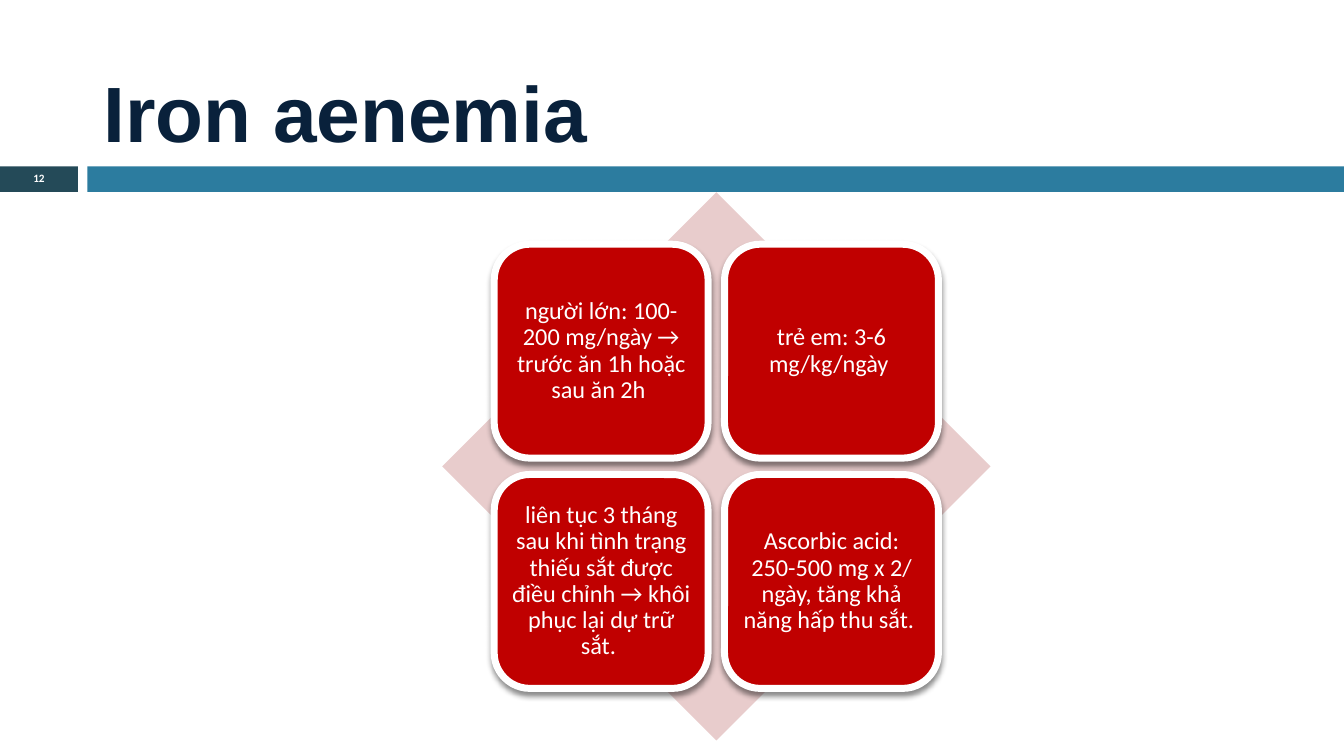
from dataclasses import dataclass

from lxml.etree import SubElement
from pptx import Presentation
from pptx.dml.color import RGBColor
from pptx.enum.shapes import MSO_SHAPE
from pptx.enum.text import MSO_ANCHOR, PP_ALIGN
from pptx.oxml.ns import qn
from pptx.util import Inches, Pt


@dataclass(frozen=True)
class Theme:
    navy: str = "09213B"
    slate: str = "244A58"
    teal: str = "2C7C9F"
    blush: str = "E8CCCC"
    red: str = "C00000"
    white: str = "FFFFFF"
    title_font: str = "Arial"
    body_font: str = "Calibri"
    title_size: int = 42
    card_size: int = 13
    number_size: int = 6


T = Theme()


def add_shape(s, kind, left, top, width, height, fill):
    """Add a borderless, shadowless filled shape; lengths in inches."""
    sp = s.shapes.add_shape(kind, *map(Inches, (left, top, width, height)))
    sp.shadow.inherit = False
    sp.fill.solid()
    sp.fill.fore_color.rgb = RGBColor.from_string(fill)
    sp.line.fill.background()
    return sp


def write(sp, text, font, size, color, bold=False, align=PP_ALIGN.CENTER,
          anchor=MSO_ANCHOR.MIDDLE, inset=0.05, spacing=0.9):
    tf = sp.text_frame
    tf.word_wrap = True
    tf.vertical_anchor = anchor
    tf.margin_left = tf.margin_right = Inches(inset)
    tf.margin_top = tf.margin_bottom = Inches(0.05)
    p = tf.paragraphs[0]
    p.text = text
    p.alignment = align
    p.line_spacing = spacing
    p.font.name = font
    p.font.size = Pt(size)
    p.font.bold = bold
    p.font.color.rgb = RGBColor.from_string(color)


prs = Presentation()
slide_width = 10
slide_height = slide_width * 9 / 16
prs.slide_width, prs.slide_height = Inches(slide_width), Inches(slide_height)
s = prs.slides.add_slide(prs.slide_layouts[5])

# Title and the band below it
title = s.shapes.title
title.left, title.top = Inches(0.67), Inches(0.13)
title.width, title.height = Inches(8.92), Inches(1.1)
write(title, "Iron aenemia", T.title_font, T.title_size, T.navy, bold=True,
      align=PP_ALIGN.LEFT, anchor=MSO_ANCHOR.BOTTOM, inset=0.1, spacing=1.0)

band_top, band_height, band_left = 0.22 * slide_height, 0.19, 0.65
number = add_shape(s, MSO_SHAPE.RECTANGLE, 0, band_top, 0.58, band_height, T.slate)
write(number, "12", T.body_font, T.number_size, T.white, bold=True)
add_shape(s, MSO_SHAPE.RECTANGLE, band_left, band_top,
          slide_width - band_left, band_height, T.teal)

# Diamond with a two-by-two grid of cards centred on it
diamond_left, diamond_top, diamond_size = 3.29, 1.43, 4.08
card_size, gap = 0.39 * diamond_size, 0.03 * diamond_size
margin = (diamond_size - 2 * card_size - gap) / 2
add_shape(s, MSO_SHAPE.DIAMOND, diamond_left, diamond_top,
          diamond_size, diamond_size, T.blush)

cards = [
    "người lớn: 100-200 mg/ngày → trước ăn 1h hoặc sau ăn 2h ",
    "trẻ em: 3-6 mg/kg/ngày ",
    "liên tục 3 tháng sau khi tình trạng thiếu sắt được điều chỉnh → "
    "khôi phục lại dự trữ sắt. ",
    "Ascorbic acid: 250-500 mg x 2/ ngày, tăng khả năng hấp thu sắt. ",
]
for i, text in enumerate(cards):
    row, col = divmod(i, 2)
    card = add_shape(s, MSO_SHAPE.ROUNDED_RECTANGLE,
                     diamond_left + margin + col * (card_size + gap),
                     diamond_top + margin + row * (card_size + gap),
                     card_size, card_size, T.red)
    card.line.color.rgb = RGBColor.from_string(T.white)
    card.line.width = Pt(3.75)
    effects = card._element.spPr.find(qn("a:effectLst"))
    shadow = SubElement(effects, qn("a:outerShdw"), blurRad=str(Pt(3)),
                        dist=str(Pt(2.4)), dir="5400000", rotWithShape="0")
    black = SubElement(shadow, qn("a:srgbClr"), val="000000")
    SubElement(black, qn("a:alpha"), val="45000")
    write(card, text, T.body_font, T.card_size, T.white)

prs.save("out.pptx")
